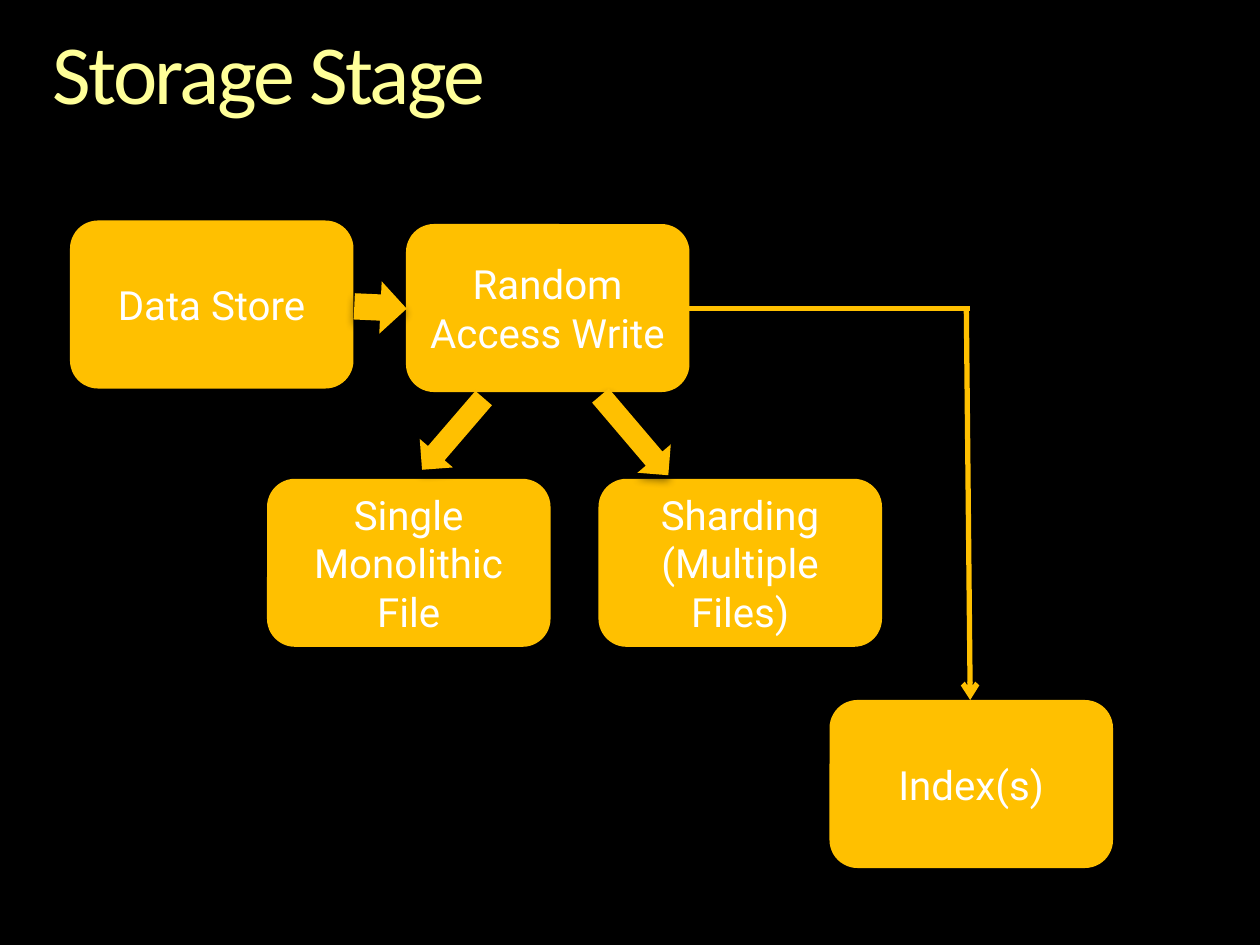
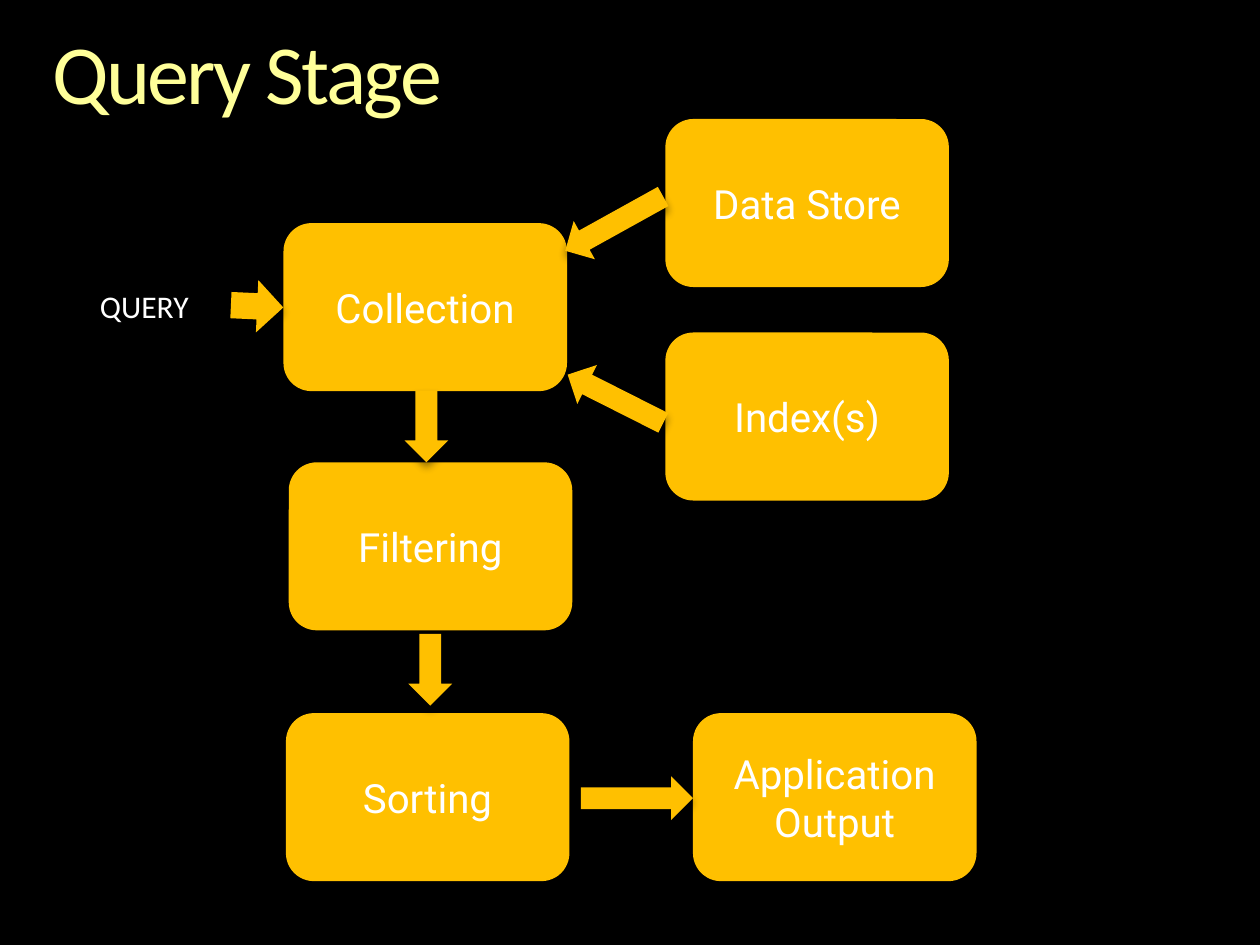
from lxml import etree
from pptx import Presentation
from pptx.dml.color import RGBColor
from pptx.enum import shapes as kinds, text as txt
from pptx.oxml import ns
from pptx.util import Pt

HUES = {"back": "000000", "title": "FFFF99", "gold": "FFC000", "white": "FFFFFF"}
HEAD, BODY = "Calibri", "Roboto"
NODE_W, NODE_H = 162, 96
SHAFT = 25  # usual breadth of a block arrow


def hue(name):
    return RGBColor.from_string(HUES[name])


def sub(node, tag, **attrs):
    return etree.SubElement(node, ns.qn(tag), attrs)


def write(frame, words, size, font, color, align=None):
    """Fill a text frame, one paragraph for each line of words."""
    for i, line in enumerate(words.split("\n")):
        para = frame.paragraphs[0] if i == 0 else frame.add_paragraph()
        para.alignment = align
        run = para.add_run()
        run.text = line
        run.font.size, run.font.name = Pt(size), font
        run.font.color.rgb = hue(color)


def block(slide, kind, left, top, width, height):
    """Gold shape without outline, with a soft shadow below."""
    shape = slide.shapes.add_shape(kind, Pt(left), Pt(top), Pt(width), Pt(height))
    shape.fill.solid()
    shape.fill.fore_color.rgb = hue("gold")
    shape.line.fill.background()
    shape.shadow.inherit = False
    glow = sub(shape.element.spPr.find(ns.qn("a:effectLst")), "a:outerShdw",
               blurRad=str(Pt(5)), dist=str(Pt(3)), dir="5400000", rotWithShape="0")
    sub(sub(glow, "a:srgbClr", val=HUES["back"]), "a:alpha", val="45000")
    return shape


def node(slide, left, top, words):
    shape = block(slide, kinds.MSO_SHAPE.ROUNDED_RECTANGLE, left, top, NODE_W, NODE_H)
    frame = shape.text_frame
    frame.word_wrap = True
    frame.vertical_anchor = txt.MSO_ANCHOR.MIDDLE
    write(frame, words, 23, BODY, "white", txt.PP_ALIGN.CENTER)


def arrow(slide, mid_x, mid_y, length, turn, width=SHAFT):
    """Block arrow around its centre; turn 0 points left."""
    shape = block(slide, kinds.MSO_SHAPE.LEFT_ARROW,
                  mid_x - length / 2, mid_y - width / 2, length, width)
    shape.rotation = turn


def line(slide, x1, y1, x2, y2, tip=False):
    wire = slide.shapes.add_connector(kinds.MSO_CONNECTOR.STRAIGHT,
                                      Pt(x1), Pt(y1), Pt(x2), Pt(y2))
    wire.line.color.rgb = hue("gold")
    wire.line.width = Pt(3)
    if tip:
        sub(wire.line._get_or_add_ln(), "a:tailEnd", type="arrow")
    sub(wire.element.spPr, "a:effectLst")


def chart(slide, box, nodes, arrows):
    """Nodes and block arrows, placed from the corner of the box."""
    left, top = box
    for x, y, words in nodes:
        node(slide, left + x, top + y, words)
    for x, y, *rest in arrows:
        arrow(slide, left + x, top + y, *rest)


def base(deck, title):
    """Black slide with its title."""
    slide = deck.slides.add_slide(deck.slide_layouts[6])
    slide.background.fill.solid()
    slide.background.fill.fore_color.rgb = hue("back")
    frame = slide.shapes.add_textbox(Pt(30), Pt(18), Pt(660), Pt(52.8)).text_frame
    frame.word_wrap = True
    frame.margin_left = frame.margin_right = frame.margin_top = frame.margin_bottom = 0
    write(frame, title, 48, HEAD, "title")
    para = frame.paragraphs[0]
    para.line_spacing = 0.9
    para.runs[0].font._element.set("spc", "-150")
    return slide


def storage(deck, box):
    slide = base(deck, "Storage Stage")
    left, top = box
    row = 147.6
    chart(slide, box, [
        (0, 0, "Data Store"),
        (192, 2, "Random Access Write"),
        (434, 274, "Index(s)"),
        (112.6, row, "Single\nMonolithic\nFile"),
        (302, row, "Sharding\n(Multiple Files)"),
    ], [
        (177.4, 49.7, 30, 182.6, 30),
        (218.8, 122, 54, 310.7),
        (322.5, 122.8, 59.8, 229.6),
    ])
    # Line from the write step across and down to the index
    bend, end = top + 50.4, left + 514.4
    line(slide, end, bend, left + 353.4, bend)
    line(slide, end - 2.2, bend, end, top + 274, tip=True)


def query(deck, box):
    slide = base(deck, "Query Stage")
    left, top = box
    side, foot = 330.2, 339.5
    chart(slide, box, [
        (113.4, foot, "Sorting"),
        (112, 59.5, "Collection"),
        (side, 122, "Index(s)"),
        (115, 196.2, "Filtering"),
        (side, 0, "Data Store"),
        (346, foot, "Application Output"),
    ], [
        (96.9, 107, 30, 182.6, 30),
        (301.7, 159.9, 61.2, 26.8),
        (301, 59.8, 64, 331),
        (193.7, 175.7, 41, 270),
        (195.9, 314.7, 41, 270),
        (314, 388.1, 64, 180),
    ])
    # Entry label
    label = slide.shapes.add_textbox(Pt(left), Pt(top + 92.6), Pt(65.5), Pt(28.8))
    label.text_frame.word_wrap = False
    write(label.text_frame, "QUERY", 18, HEAD, "white")


deck = Presentation()
deck.slide_width, deck.slide_height = Pt(720), Pt(540)
storage(deck, (40, 126))
query(deck, (50, 68))
deck.save("out.pptx")
